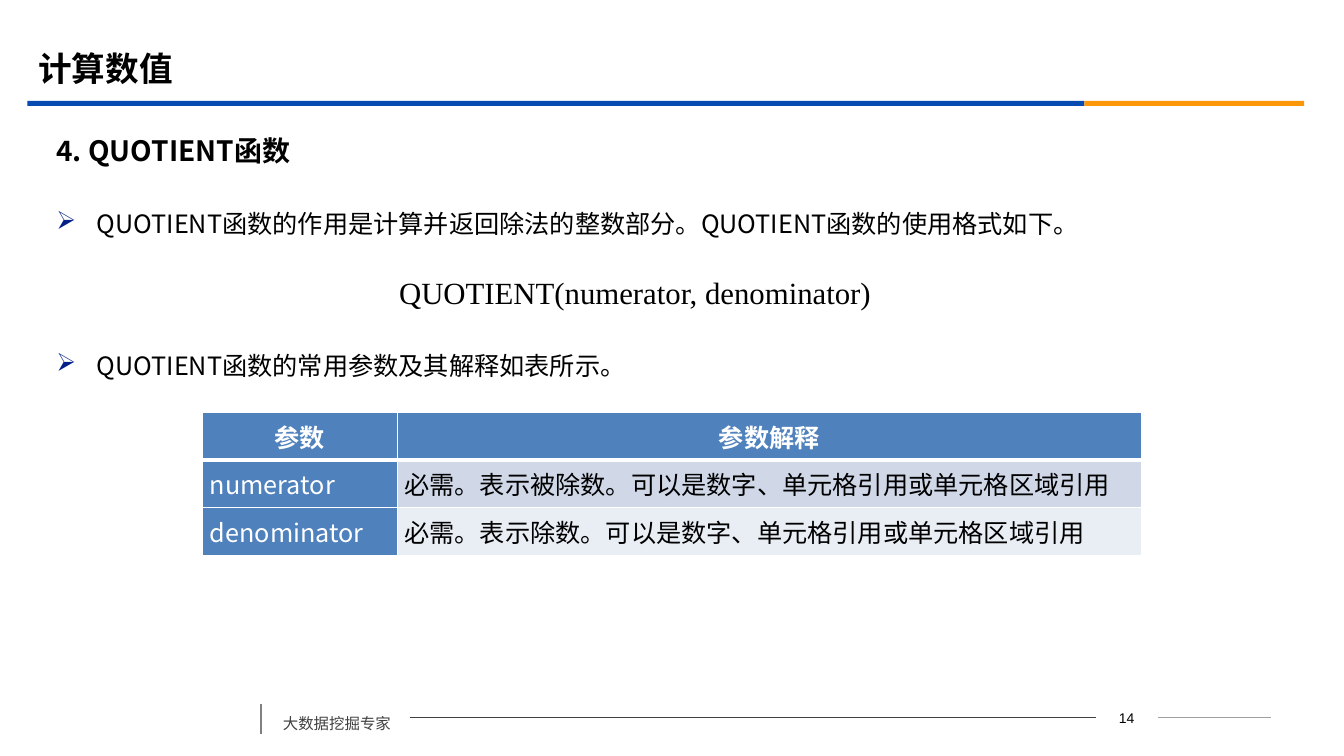
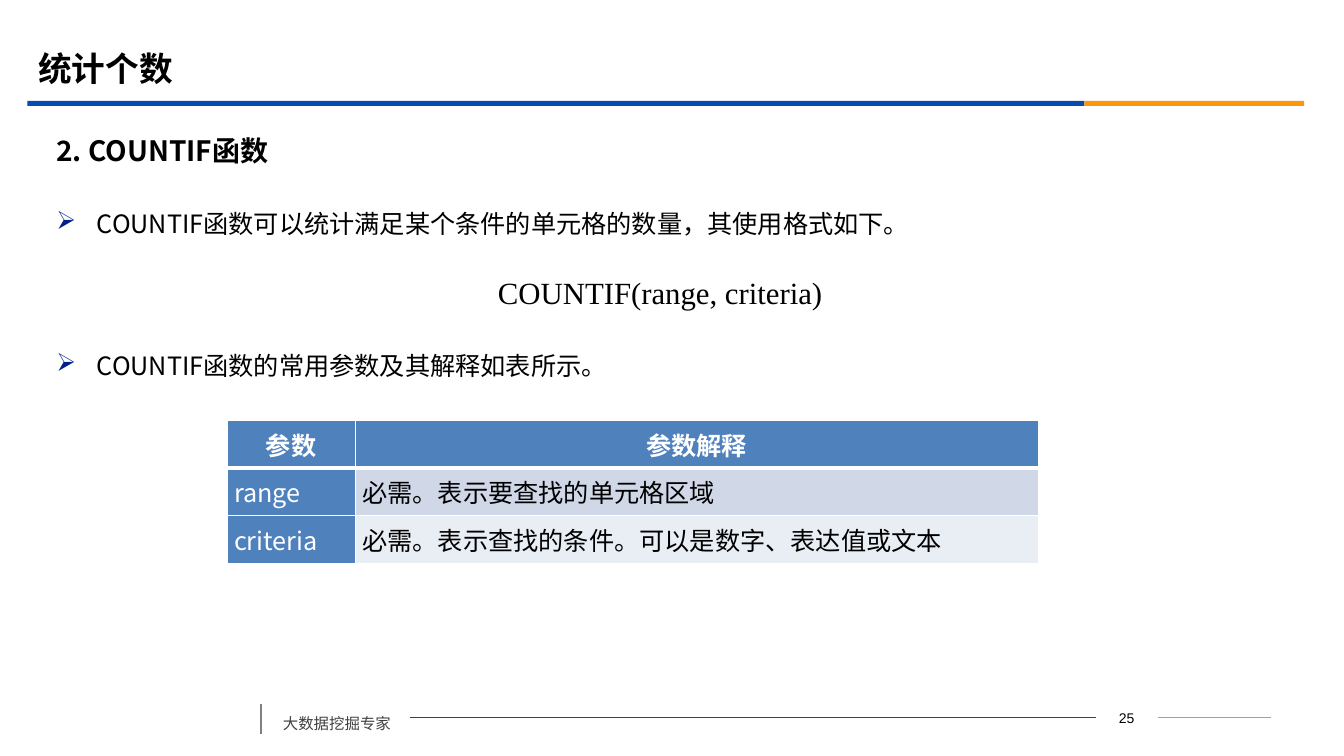
"""Build two slides that explain spreadsheet functions."""
from dataclasses import dataclass

from lxml import etree
from pptx import Presentation
from pptx.dml.color import RGBColor
from pptx.enum.shapes import MSO_CONNECTOR, MSO_SHAPE
from pptx.enum.text import MSO_ANCHOR, PP_ALIGN
from pptx.oxml.ns import qn
from pptx.util import Cm, Pt

LINE = MSO_CONNECTOR.STRAIGHT
RECT = MSO_SHAPE.RECTANGLE
MID, TOP = MSO_ANCHOR.MIDDLE, MSO_ANCHOR.TOP
LEFT, CENTER, JUST = PP_ALIGN.LEFT, PP_ALIGN.CENTER, PP_ALIGN.JUSTIFY

SANS, SERIF, ARIAL = "Noto Sans CJK SC", "Times New Roman", "Arial"
BLACK, WHITE = "000000", "FFFFFF"
BLUE, GOLD, NAVY = "064BB2", "FB9708", "032089"
DARK, GRAY, PALE = "404040", "808080", "A0A0A0"
HEAD, BANDS = "4F81BD", ("D0D8E8", "E9EDF4")
ROW = 1.2


@dataclass(frozen=True)
class Box:
    """A place on the slide in centimetres."""
    x: float
    y: float
    w: float
    h: float

    def dims(self) -> tuple:
        return Cm(self.x), Cm(self.y), Cm(self.w), Cm(self.h)


@dataclass(frozen=True)
class Style:
    """The look of a text run."""
    size: float
    font: str = SANS
    color: str = BLACK
    bold: bool = False


@dataclass(frozen=True)
class Rule:
    """A straight line with its colour and width."""
    x: float
    y: float
    to_x: float
    to_y: float
    color: str
    width: float


@dataclass(frozen=True)
class Topic:
    """The content of one slide."""
    title: str
    page: str
    lead: str
    points: tuple[str, str]
    call: str
    call_x: float
    grid_x: float
    grid_y: float
    cols: tuple[float, float]
    rows: tuple[tuple[str, str], ...]


BARS = ((Box(0.69, 2.54, 26.64, 0.13), BLUE),
        (Box(27.33, 2.54, 5.54, 0.13), GOLD))
RULES = (Rule(29.18, 18.08, 32.03, 18.08, PALE, 0.75),
         Rule(10.34, 18.08, 27.61, 18.08, DARK, 0.75),
         Rule(6.58, 17.73, 6.58, 18.49, GRAY, 1.25))

TOPICS = (
    Topic("计算数值", "14", "4. QUOTIENT函数",
          ("QUOTIENT函数的作用是计算并返回除法的整数部分。QUOTIENT函数的使用格式如下。",
           "QUOTIENT函数的常用参数及其解释如表所示。"),
          "QUOTIENT(numerator, denominator)", 8.81, 5.11, 10.39, (4.9, 18.75),
          (("numerator", "必需。表示被除数。可以是数字、单元格引用或单元格区域引用"),
           ("denominator", "必需。表示除数。可以是数字、单元格引用或单元格区域引用"))),
    Topic("统计个数", "25", "2. COUNTIF函数",
          ("COUNTIF函数可以统计满足某个条件的单元格的数量，其使用格式如下。",
           "COUNTIF函数的常用参数及其解释如表所示。"),
          "COUNTIF(range, criteria)", 11.3, 5.72, 10.59, (3.23, 17.22),
          (("range", "必需。表示要查找的单元格区域"),
           ("criteria", "必需。表示查找的条件。可以是数字、表达值或文本"))),
)


def rgb(code: str) -> RGBColor:
    """Turn a hex string into a colour."""
    return RGBColor.from_string(code)


def add_run(para, text: str, style: Style) -> None:
    """Add one styled run to a paragraph."""
    run = para.add_run()
    run.text = text
    font = run.font
    font.size, font.name, font.bold = Pt(style.size), style.font, style.bold
    font.color.rgb = rgb(style.color)
    east = etree.SubElement(run._r.get_or_add_rPr(), qn("a:ea"))
    east.set("typeface", SANS)


def add_text(slide, box: Box, text: str, style: Style, align=LEFT, anchor=TOP):
    """Add a text box with one run and return its frame."""
    frame = slide.shapes.add_textbox(*box.dims()).text_frame
    frame.word_wrap, frame.vertical_anchor = True, anchor
    para = frame.paragraphs[0]
    para.alignment = align
    add_run(para, text, style)
    return frame


def add_title(slide, text: str) -> None:
    """Place and fill the title."""
    title = slide.shapes.title
    title.left, title.top, title.width, title.height = Box(0.71, 0.99, 30.48, 1.47).dims()
    frame = title.text_frame
    frame.vertical_anchor = MID
    para = frame.paragraphs[0]
    para.alignment = LEFT
    add_run(para, text, Style(24, SERIF, bold=True))


def add_frame(slide, page: str) -> None:
    """Draw the bars, lines and footer that all slides share."""
    for box, color in BARS:
        bar = slide.shapes.add_shape(RECT, *box.dims())
        bar.shadow.inherit = False
        bar.fill.solid()
        bar.fill.fore_color.rgb = rgb(color)
        bar.line.fill.background()
    for rule in RULES:
        line = slide.shapes.add_connector(
            LINE, Cm(rule.x), Cm(rule.y), Cm(rule.to_x), Cm(rule.to_y))
        line.line.color.rgb = rgb(rule.color)
        line.line.width = Pt(rule.width)
        etree.SubElement(line._element.spPr, qn("a:effectLst"))
    add_text(slide, Box(27.61, 17.75, 1.57, 0.64), page, Style(10, ARIAL), CENTER)
    foot = add_text(slide, Box(6.88, 17.63, 3.45, 0.97), "大数据挖掘专家",
                    Style(11, color=DARK))
    foot.paragraphs[0].line_spacing = 1.5


def add_points(slide, points: tuple[str, str]) -> None:
    """Add the bullet points, with room for the formula between them."""
    frame = slide.shapes.add_textbox(*Box(1.17, 4.75, 30.86, 12.06).dims()).text_frame
    frame.word_wrap = True
    for i, text in enumerate(points):
        para = frame.add_paragraph() if i else frame.paragraphs[0]
        para.line_spacing = 1.5
        if i:
            para.space_before = Pt(69)
        props = para._p.get_or_add_pPr()
        props.set("marL", str(Cm(1.02)))
        props.set("indent", str(-Cm(1.02)))
        tint = etree.SubElement(props, qn("a:buClr"))
        etree.SubElement(tint, qn("a:srgbClr")).set("val", NAVY)
        etree.SubElement(props, qn("a:buChar")).set("char", "➢")
        add_run(para, text, Style(18))


def add_edge(cell, side: str, width: float) -> None:
    """Add a white border to one side of a cell."""
    edge = etree.SubElement(cell._tc.get_or_add_tcPr(), qn(f"a:ln{side}"))
    edge.set("w", str(Pt(width)))
    fill = etree.SubElement(edge, qn("a:solidFill"))
    etree.SubElement(fill, qn("a:srgbClr")).set("val", WHITE)


def add_grid(slide, topic: Topic) -> None:
    """Add the table of arguments."""
    rows = (("参数", "参数解释"), *topic.rows)
    box = Box(topic.grid_x, topic.grid_y, sum(topic.cols), ROW * len(rows))
    grid = slide.shapes.add_table(len(rows), len(topic.cols), *box.dims()).table
    grid.first_row = grid.horz_banding = False
    for col, width in zip(grid.columns, topic.cols):
        col.width = Cm(width)
    for i, texts in enumerate(rows):
        grid.rows[i].height = Cm(ROW)
        for j, text in enumerate(texts):
            cell = grid.cell(i, j)
            cell.vertical_anchor = MID
            cell.margin_left = cell.margin_right = Cm(0.18)
            cell.margin_top = cell.margin_bottom = 0
            for side in "LRTB":
                thick = (i, side) in ((0, "B"), (1, "T"))
                add_edge(cell, side, 3 if thick else 1)
            head = i == 0 or j == 0
            cell.fill.solid()
            cell.fill.fore_color.rgb = rgb(HEAD if head else BANDS[(i - 1) % 2])
            para = cell.text_frame.paragraphs[0]
            para.alignment = JUST if i else CENTER
            add_run(para, text, Style(18, color=WHITE if head else BLACK, bold=i == 0))


def add_topic(deck, topic: Topic) -> None:
    """Add one whole slide."""
    slide = deck.slides.add_slide(deck.slide_layouts[5])
    add_frame(slide, topic.page)
    add_title(slide, topic.title)
    add_text(slide, Box(1.17, 3.18, 30.86, 1.19), topic.lead,
             Style(20, bold=True), anchor=MID)
    add_points(slide, topic.points)
    call = add_text(slide, Box(topic.call_x, 6.78, 14.25, 1.19), topic.call,
                    Style(22, SERIF))
    call.margin_left = Cm(1.25)
    add_grid(slide, topic)


def main() -> None:
    """Build and save the slides."""
    deck = Presentation()
    deck.slide_width, deck.slide_height = Cm(33.87), Cm(19.05)
    for topic in TOPICS:
        add_topic(deck, topic)
    deck.save("out.pptx")


if __name__ == "__main__":
    main()
